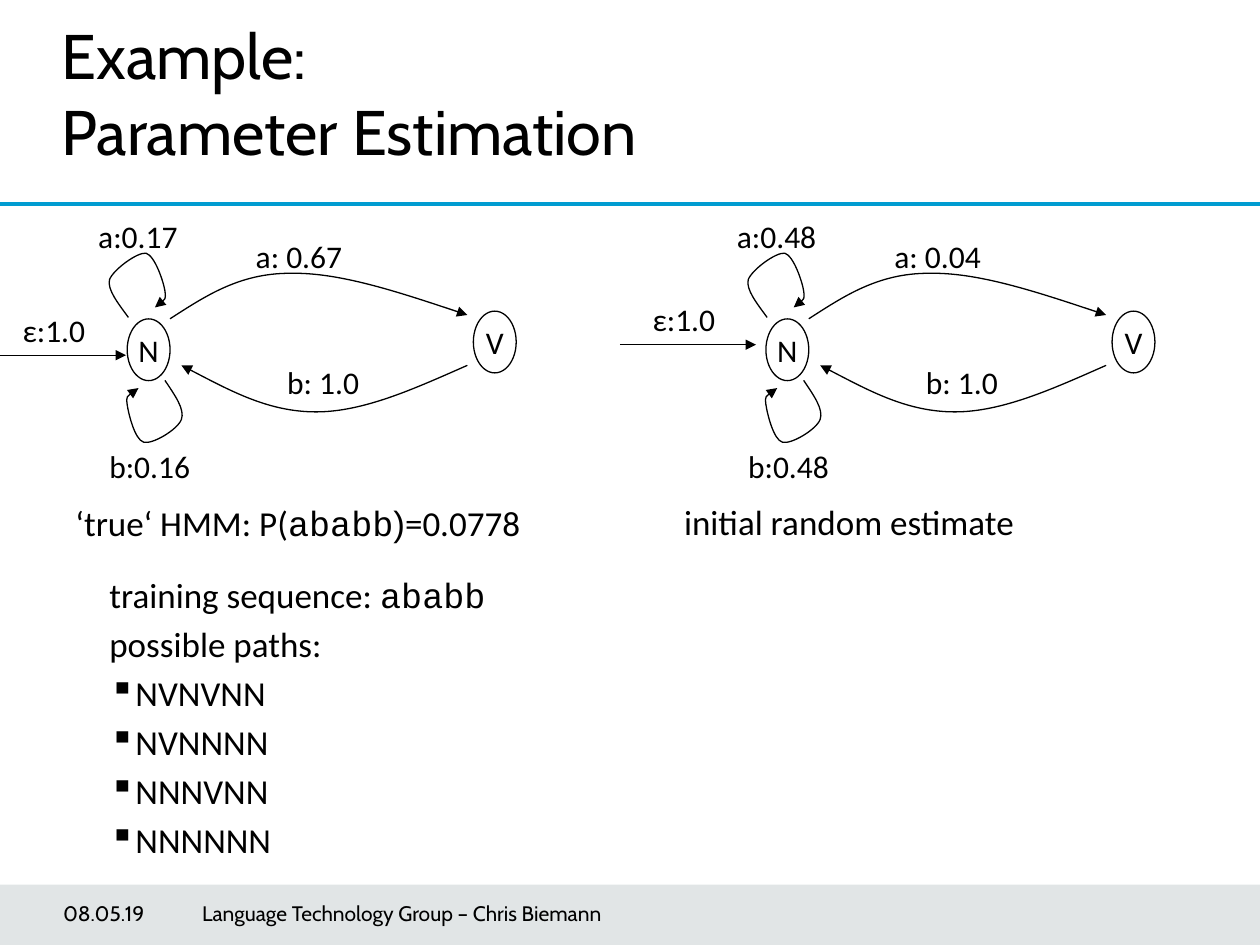
from lxml.etree import SubElement
from pptx import Presentation
from pptx.dml.color import RGBColor
from pptx.enum.shapes import MSO_CONNECTOR, MSO_SHAPE
from pptx.enum.text import MSO_ANCHOR, MSO_AUTO_SIZE, PP_ALIGN
from pptx.oxml.ns import qn
from pptx.util import Pt

BLACK, BLUE, SLATE = "000000", "009CD1", "3B515B"
BODY, HEADING, MONO = "Calibri", "Cabin", "Courier New"

TITLE = "Example: \vParameter Estimation"
FOOTERS = [("08.05.19", 36, 71), ("Language Technology Group – Chris Biemann", 115.5, 354)]
TRAINING = [("training sequence: ", BODY), ("ababb", MONO)]
PATHS = ["NVNVNN", "NVNNNN", "NNNVNN", "NNNNNN"]

# Places inside a model are those of the first one; the second is shifted.
MODEL_SHIFT = 365
STATES = [("N", 72.7, 182.2), ("V", 270.5, 177.8)]
LABEL_PLACES = [(55.4, 252, 65), (139, 131.8, 70), (157, 203.8, 60), (49, 120.2, 65)]
MODELS = [
    {"labels": ["b:0.16", "a: 0.67", "b: 1.0", "a:0.17"],
     "entry": (-5.8, 203),
     "caption": [("‘true‘ HMM: P(", BODY), ("ababb", MONO), (")", "Arial"), ("=0.0778", BODY)],
     "caption_box": (36, 283, 271, 32)},
    {"labels": ["b:0.48", "a: 0.04", "b: 1.0", "a:0.48"],
     "entry": (354.2, 197),
     "caption": [("initial random estimate", BODY)],
     "caption_box": (383.8, 282.2, 206, 32)},
]
# Each transition: a start, then two control points and an end per curve.
TRANSITIONS = [
    [(94.3, 217.4), (100.1, 226.1), (105.8, 234), (103.7, 239.8),
     (101.5, 245.5), (87.1, 254.2), (82.1, 252.7),
     (77, 251.3), (73.4, 236.2), (72.7, 231.1),
     (72, 226.1), (75.6, 223.9), (79.2, 221.8)],
    [(97.2, 182.2), (117.4, 169.2), (136.8, 156.2), (165.6, 156.2),
     (193.7, 155.5), (230.4, 167.8), (267.1, 180)],
    [(267.1, 208.8), (237.6, 221.8), (208.1, 235.4), (180.7, 235.4),
     (153.4, 235.4), (128.9, 221.8), (103.7, 208.8)],
    [(73.4, 181.4), (67.7, 173.5), (61.2, 165.6), (62.6, 159.8),
     (64.8, 154.1), (78.5, 144), (83.5, 144.7),
     (88.6, 146.2), (93.6, 161.3), (94.3, 166.3),
     (95, 171.4), (92.2, 173.5), (88.6, 175.7)],
]


def rgb(code):
    return RGBColor.from_string(code)


def set_font(font, size, name=BODY):
    font.size, font.name, font.color.rgb = Pt(size), name, rgb(BLACK)


def add_runs(paragraph, runs, size):
    for words, name in runs:
        run = paragraph.add_run()
        run.text = words
        set_font(run.font, size, name)


def add_label(shapes, runs, box, size=18):
    """Add a one-line text box that does not wrap."""
    frame = shapes.add_textbox(*map(Pt, box)).text_frame
    frame.word_wrap = False
    frame.auto_size = MSO_AUTO_SIZE.SHAPE_TO_FIT_TEXT
    add_runs(frame.paragraphs[0], runs, size)


def style_line(line, color=BLACK, width=0.75, arrow=False):
    line.color.rgb = rgb(color)
    line.width = Pt(width)
    if arrow:
        SubElement(line._get_or_add_ln(), qn("a:tailEnd"), type="triangle")


def add_line(shapes, start, end, **style):
    connector = shapes.add_connector(MSO_CONNECTOR.STRAIGHT, *map(Pt, start + end))
    style_line(connector.line, **style)
    SubElement(connector._element.spPr, qn("a:effectLst"))


def add_transition(shapes, points, shift):
    """Draw the points as a chain of cubic curves ending in an arrowhead."""
    places = [(Pt(x + shift), Pt(y)) for x, y in points]
    builder = shapes.build_freeform(*places[0])
    builder.add_line_segments(places[1:], close=False)
    curve = builder.convert_to_shape()
    curve.shadow.inherit = False
    curve.fill.background()
    style_line(curve.line, arrow=True)
    outline = curve._element.find(".//" + qn("a:path"))
    segments = outline.findall(qn("a:lnTo"))
    for i in range(0, len(segments), 3):
        bezier = SubElement(outline, qn("a:cubicBezTo"))
        for segment in segments[i:i + 3]:
            bezier.append(segment[0])
            outline.remove(segment)


def add_state(shapes, name, left, top):
    state = shapes.add_shape(MSO_SHAPE.OVAL, Pt(left), Pt(top), Pt(24.5), Pt(35.3))
    state.shadow.inherit = False
    state.fill.background()
    style_line(state.line)
    frame = state.text_frame
    frame.word_wrap = False
    frame.vertical_anchor = MSO_ANCHOR.MIDDLE
    frame.text = name
    frame.paragraphs[0].alignment = PP_ALIGN.CENTER
    set_font(frame.paragraphs[0].font, 18)


def add_model(slide, model, shift):
    shapes = slide.shapes.add_group_shape().shapes
    for name, left, top in STATES:
        add_state(shapes, name, left + shift, top)
    for points in TRANSITIONS:
        add_transition(shapes, points, shift)
    for words, (left, top, width) in zip(model["labels"], LABEL_PLACES):
        add_label(shapes, [(words, BODY)], (left + shift, top, width, 29))
    add_label(slide.shapes, model["caption"], model["caption_box"], 20)
    x, y = model["entry"]
    add_line(slide.shapes, (x, y), (x + 77.8, y), arrow=True)
    add_label(slide.shapes, [("ε:1.0", BODY)], (x + 11.6, y - 29, 53, 29))


def add_training(slide):
    frame = slide.shapes.add_textbox(Pt(55.4), Pt(324), Pt(347), Pt(186)).text_frame
    frame.word_wrap = True
    rows = [TRAINING, [("possible paths:", BODY)]] + [[(states, BODY)] for states in PATHS]
    for i, runs in enumerate(rows):
        paragraph = frame.paragraphs[0] if i == 0 else frame.add_paragraph()
        add_runs(paragraph, runs, 20)
        paragraph.space_before = Pt(4)
        properties = paragraph._p.get_or_add_pPr()
        properties.set("marL", str(Pt(14.4)))
        properties.set("indent", str(Pt(-14.4)))
        if i >= len(rows) - len(PATHS):
            SubElement(properties, qn("a:buChar"), char="▪")


def add_frame(slide):
    """Add the footer band, the rule under the title and the title."""
    band = slide.shapes.add_shape(MSO_SHAPE.RECTANGLE, 0, Pt(505.5), Pt(720), Pt(34.5))
    band.shadow.inherit = False
    band.fill.solid()
    band.fill.fore_color.rgb = rgb(SLATE)
    color = band._element.spPr.find(".//" + qn("a:srgbClr"))
    SubElement(color, qn("a:alpha"), val="15000")
    band.line.fill.background()
    add_line(slide.shapes, (0, 116.6), (720, 116.6), color=BLUE, width=2)

    title = slide.shapes.title
    title.left, title.top, title.width, title.height = map(Pt, (28.1, 5.8, 541.5, 66.2))
    frame = title.text_frame
    frame.text = TITLE
    frame.auto_size = MSO_AUTO_SIZE.NONE
    frame.vertical_anchor = MSO_ANCHOR.TOP
    frame.paragraphs[0].alignment = PP_ALIGN.LEFT
    set_font(frame.paragraphs[0].font, 36, HEADING)


def add_footer(slide, words, left, width):
    frame = slide.shapes.add_textbox(Pt(left), Pt(507.6), Pt(width), Pt(28.8)).text_frame
    frame.word_wrap = True
    frame.margin_left = 0
    frame.vertical_anchor = MSO_ANCHOR.MIDDLE
    frame.text = words
    set_font(frame.paragraphs[0].font, 12, HEADING)


def main():
    deck = Presentation()
    deck.slide_width, deck.slide_height = Pt(720), Pt(540)
    slide = deck.slides.add_slide(deck.slide_layouts[5])
    add_frame(slide)
    add_training(slide)
    for i, model in enumerate(MODELS):
        add_model(slide, model, i * MODEL_SHIFT)
    for footer in FOOTERS:
        add_footer(slide, *footer)
    deck.save("out.pptx")


if __name__ == "__main__":
    main()
